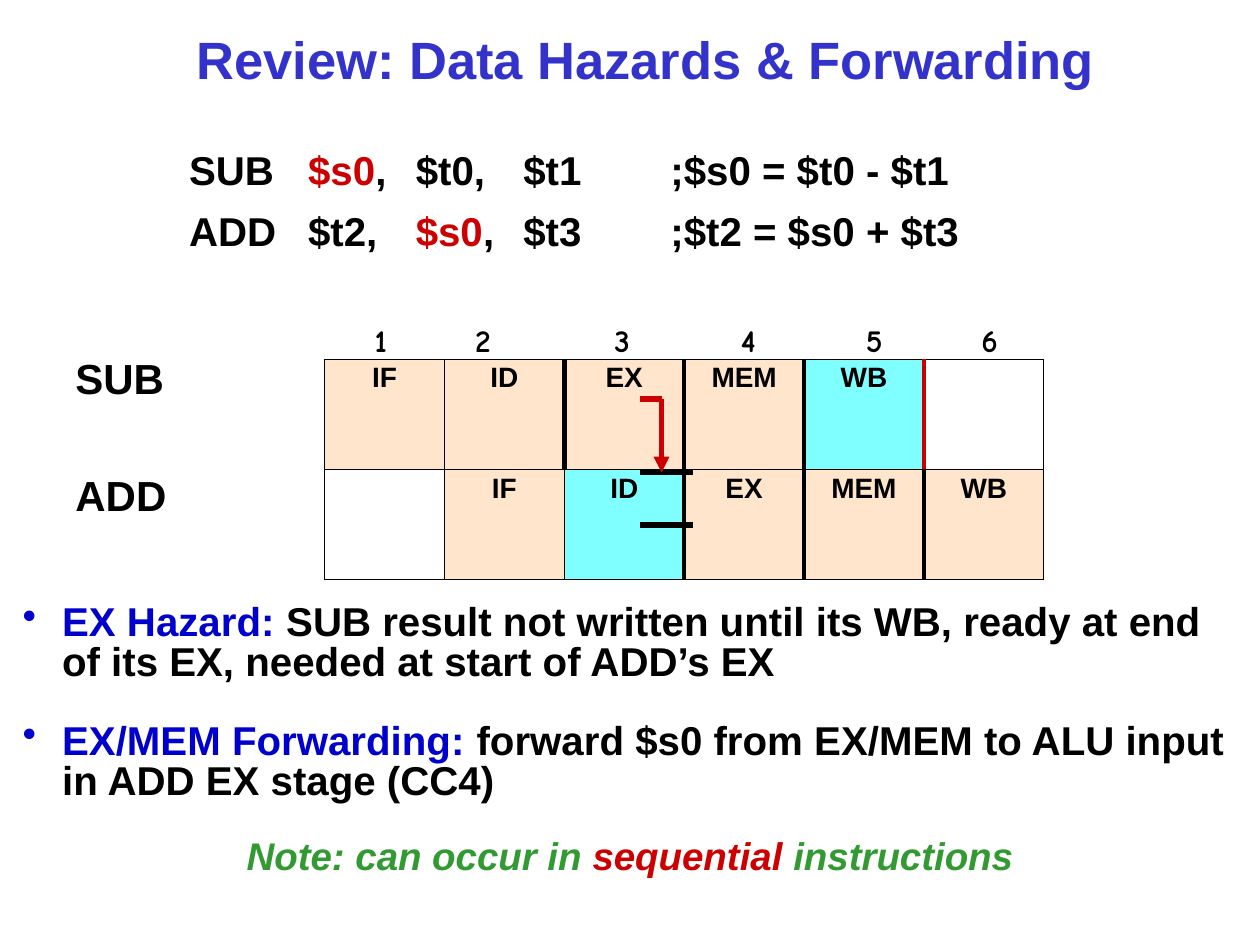
import pptx
import pptx.util
import pptx.dml.color
import pptx.enum.shapes
import pptx.enum.text
import pptx.oxml
import pptx.oxml.ns
from lxml import etree

Pt = pptx.util.Pt
qn = pptx.oxml.ns.qn
CENTER = pptx.enum.text.PP_ALIGN.CENTER
TOP = pptx.enum.text.MSO_ANCHOR.TOP
BLACK, RED, BLUE, GREEN = "000000", "CC0000", "0000CC", "339933"
PEACH, CYAN = "FFCC99", "00FFFF"
THIN, THICK, WRITEBACK = (BLACK, 0.45), (BLACK, 3), (RED, 3)


def rgb(color):
    return pptx.dml.color.RGBColor.from_string(color)


def format_run(r, size, color=BLACK, name="Arial", italic=False):
    r.font.size = Pt(size)
    r.font.name = name
    r.font.bold = True
    r.font.italic = italic
    r.font.color.rgb = rgb(color)


def add_runs(p, parts, size, **style):
    for text, color in parts:
        r = p.add_run()
        r.text = text
        format_run(r, size, color, **style)


def add_tabs(p, stops, align="l"):
    tabs = etree.SubElement(p._p.get_or_add_pPr(), qn("a:tabLst"))
    for stop in stops:
        etree.SubElement(tabs, qn("a:tab"), pos=str(Pt(stop)), algn=align)


def add_bullet(p):
    pPr = p._p.get_or_add_pPr()
    pPr.set("marL", str(Pt(22.5)))
    pPr.set("indent", str(-Pt(22.5)))
    color = etree.SubElement(pPr, qn("a:buClr"))
    etree.SubElement(color, qn("a:srgbClr"), val=BLUE)
    etree.SubElement(pPr, qn("a:buChar"), char="•")


def add_box(s, x, y, w, h):
    tf = s.shapes.add_textbox(Pt(x), Pt(y), Pt(w), Pt(h)).text_frame
    tf.word_wrap = True
    return tf


def add_title(s, text):
    title = s.shapes.title
    title.left, title.top, title.width, title.height = Pt(18), Pt(12), Pt(702), Pt(48)
    tf = title.text_frame
    tf.text = text
    tf.vertical_anchor = pptx.enum.text.MSO_ANCHOR.MIDDLE
    p = tf.paragraphs[0]
    p.alignment = CENTER
    p.line_spacing = 0.9
    format_run(p.runs[0], 30, "3333CC")


def add_code(s):
    tf = add_box(s, 6, 48, 690, 126)
    tf.margin_top = Pt(38)
    lines = [
        [("\tSUB\t", BLACK), ("$s0", RED), (",\t$t0,\t$t1\t;$s0 = $t0 - $t1", BLACK)],
        [("\tADD\t$t2,\t", BLACK), ("$s0", RED), (",\t$t3\t;$t2 = $s0 + $t3", BLACK)],
    ]
    for i, parts in enumerate(lines):
        p = tf.add_paragraph() if i else tf.paragraphs[0]
        p.line_spacing = 0.9
        if i:
            p.space_before = Pt(10)
        add_tabs(p, [95, 163, 224.5, 286, 370])
        add_runs(p, parts, 23)


def add_row_labels(s):
    tf = add_box(s, 36, 198, 72, 102)
    tf.text = "SUB\nADD"
    for p in tf.paragraphs:
        format_run(p.runs[0], 24)
    tf.paragraphs[1].space_before = Pt(38)


def add_cycle_numbers(s):
    p = add_box(s, 174, 180, 418, 29).paragraphs[0]
    add_tabs(p, [36.5, 95, 174.5, 246.5, 318.5, 384.5], "ctr")
    add_runs(p, [("\t1\t2\t3\t4\t5\t6", BLACK)], 18, name="Comic Neue")


def set_borders(cell, left, right):
    tcPr = cell._tc.get_or_add_tcPr()
    sides = (("L", left), ("R", right), ("T", THIN), ("B", THIN))
    for i, (side, (color, width)) in enumerate(sides):
        ln = pptx.oxml.parse_xml(
            f'<a:ln{side} xmlns:a="http://schemas.openxmlformats.org/drawingml/2006/main" '
            f'w="{Pt(width)}"><a:solidFill><a:srgbClr val="{color}"/></a:solidFill></a:ln{side}>')
        tcPr.insert(i, ln)


def format_cell(cell, text, color):
    cell.margin_left = cell.margin_right = cell.margin_top = cell.margin_bottom = Pt(3.6)
    cell.vertical_anchor = TOP
    if not text:
        cell.fill.background()
        return
    cell.fill.solid()
    cell.fill.fore_color.rgb = rgb(color)
    clr = cell._tc.tcPr.find(".//" + qn("a:srgbClr"))
    etree.SubElement(clr, qn("a:alpha"), val="50000")
    cell.text = text
    p = cell.text_frame.paragraphs[0]
    p.alignment = CENTER
    p.line_spacing = 0.9
    format_run(p.runs[0], 16)


def add_pipeline(s):
    stages = [["IF", "ID", "EX", "MEM", "WB", ""], ["", "IF", "ID", "EX", "MEM", "WB"]]
    edges = [[THIN, THIN, THICK, THICK, THICK, WRITEBACK, THIN],
             [THIN, THIN, THIN, THICK, THICK, THICK, THIN]]
    highlighted = {(0, 4), (1, 2)}
    table = s.shapes.add_table(2, 6, Pt(185.5), Pt(205.25), Pt(411), Pt(126)).table
    table.first_row = table.horz_banding = False
    for row, names in enumerate(stages):
        for col, name in enumerate(names):
            cell = table.cell(row, col)
            format_cell(cell, name, CYAN if (row, col) in highlighted else PEACH)
            set_borders(cell, *edges[row][col:col + 2])


def add_line(s, x1, y1, x2, y2, color, arrow=False):
    line = s.shapes.add_connector(
        pptx.enum.shapes.MSO_CONNECTOR.STRAIGHT, Pt(x1), Pt(y1), Pt(x2), Pt(y2))
    line.line.color.rgb = rgb(color)
    line.line.width = Pt(3)
    if arrow:
        etree.SubElement(line.line._get_or_add_ln(), qn("a:tailEnd"), type="triangle")
    etree.SubElement(line._element.spPr, qn("a:effectLst"))


def add_explanation(s):
    box = s.shapes.add_shape(
        pptx.enum.shapes.MSO_SHAPE.ROUNDED_RECTANGLE, Pt(0), Pt(336), Pt(720), Pt(162))
    box.adjustments[0] = 0.125
    box.shadow.inherit = False
    box.fill.background()
    box.line.fill.background()
    tf = box.text_frame
    tf.word_wrap = True
    tf.vertical_anchor = TOP
    points = [
        [("EX Hazard: ", BLUE),
         ("SUB result not written until its WB, ready at end of its EX, "
          "needed at start of ADD’s EX", BLACK)],
        [("EX/MEM Forwarding: ", BLUE),
         ("forward $s0 from EX/MEM to ALU input in ADD EX stage (CC4)", BLACK)],
    ]
    for i, parts in enumerate(points):
        p = tf.add_paragraph() if i else tf.paragraphs[0]
        p.alignment = pptx.enum.text.PP_ALIGN.LEFT
        p.line_spacing = 0.83
        if i:
            p.space_before = Pt(22)
        add_bullet(p)
        add_runs(p, parts, 23)
    p = tf.add_paragraph()
    p.alignment = CENTER
    p.line_spacing = 0.83
    p.space_before = Pt(21)
    note = [("Note: can occur in ", GREEN), ("sequential", RED), (" instructions", GREEN)]
    add_runs(p, note, 22, italic=True)


def main():
    prs = pptx.Presentation()
    prs.slide_width, prs.slide_height = Pt(720), Pt(540)
    s = prs.slides.add_slide(prs.slide_layouts[5])
    add_title(s, "Review: Data Hazards & Forwarding")
    add_code(s)
    add_row_labels(s)
    add_pipeline(s)
    add_explanation(s)
    for y in (270, 300):
        add_line(s, 366, y, 396, y, BLACK)
    add_line(s, 378, 228, 378, 270, RED, arrow=True)
    add_line(s, 366, 228, 378, 228, RED)
    add_cycle_numbers(s)
    prs.save("out.pptx")


if __name__ == "__main__":
    main()
